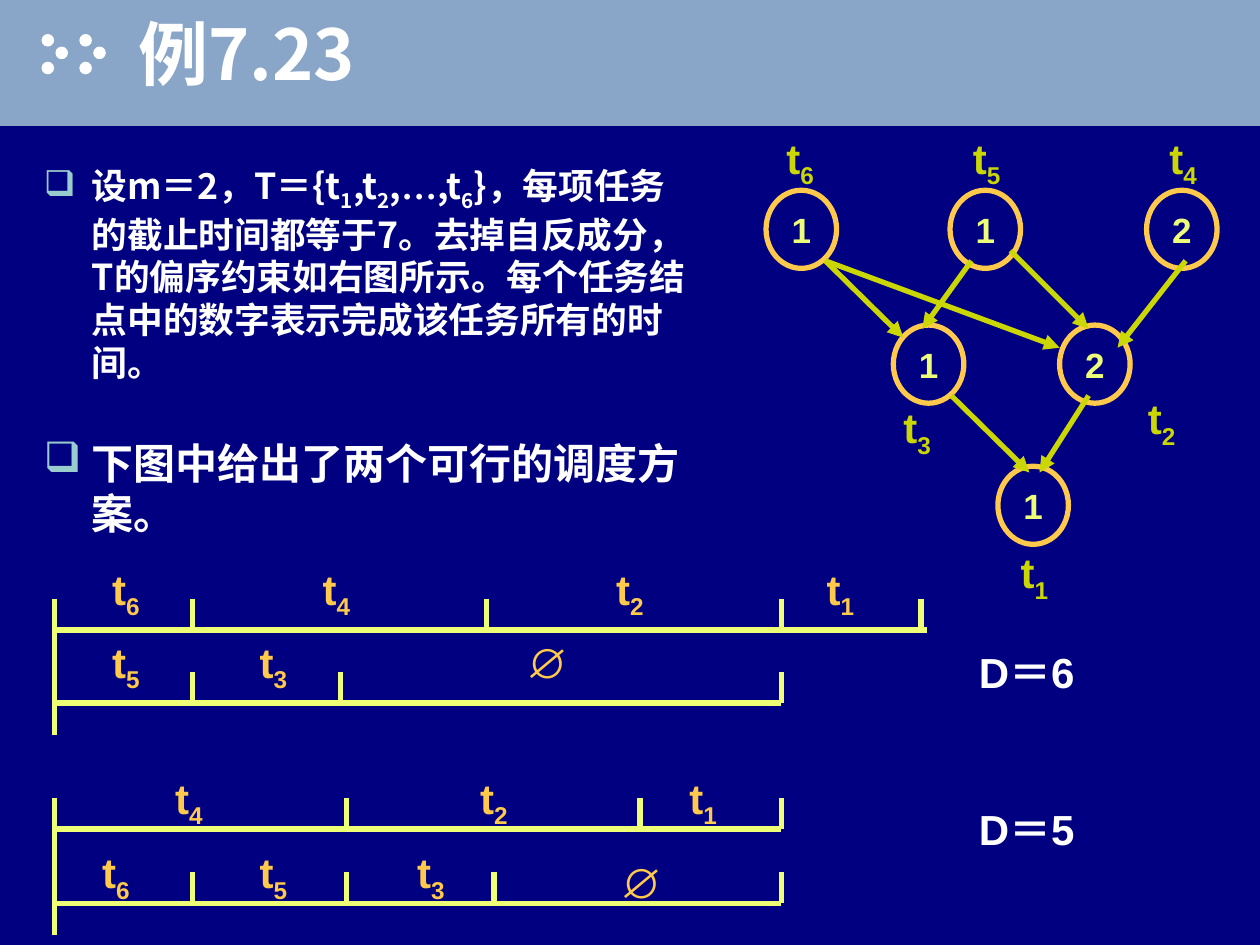
"""Build the slide for example 7.23: a task graph and two feasible schedules."""
from dataclasses import dataclass
from itertools import groupby, product

from lxml.etree import SubElement
from pptx import Presentation
from pptx.dml.color import RGBColor
from pptx.enum.shapes import MSO_CONNECTOR, MSO_SHAPE
from pptx.enum.text import MSO_ANCHOR, PP_ALIGN
from pptx.oxml import parse_xml
from pptx.oxml.ns import nsdecls, qn
from pptx.slide import Slide
from pptx.util import Inches, Pt


def color(value):
    return RGBColor.from_string(value)


@dataclass
class SlideBuilder:
    slide: Slide
    latin_font: str = "Arial"
    chinese_font: str = "Noto Sans CJK SC"
    symbol_font: str = "Times New Roman"
    white: str = "FFFFFF"
    header: str = "89A5C7"
    background: str = "000080"
    bullet: str = "99CCCC"
    node_line: str = "FFC94C"
    node_text: str = "EDFD77"
    edge: str = "CAD704"
    axis: str = "EFFF75"

    def fill_background(self):
        fill = self.slide.background.fill
        fill.solid()
        fill.fore_color.rgb = color(self.background)

    def format_run(self, run, size, tone, font):
        run.font.size = Pt(size)
        run.font.bold = True
        run.font.name = font
        run.font.color.rgb = color(tone)
        SubElement(run.font._element, qn("a:ea"), typeface=font)

    def add_text(self, paragraph, text, size, tone, font):
        first, *others = text.split("_")
        pieces = [(first, False)]
        for other in others:
            pieces += [(other[0], True), (other[1:], False)]
        for piece, subscript in pieces:
            for is_symbol, letters in groupby(piece, lambda letter: letter == "…"):
                run = paragraph.add_run()
                run.text = "".join(letters)
                self.format_run(run, size, tone, self.symbol_font if is_symbol else font)
                if subscript:
                    run.font._element.set("baseline", "-25000")

    def title(self, text, left, top, width, height):
        title = self.slide.shapes.title
        title.left, title.top = Inches(left), Inches(top)
        title.width, title.height = Inches(width), Inches(height)
        frame = title.text_frame
        frame.text = text
        frame.vertical_anchor = MSO_ANCHOR.MIDDLE
        paragraph = frame.paragraphs[0]
        paragraph.alignment = PP_ALIGN.LEFT
        run = paragraph.runs[0]
        self.format_run(run, 40, self.white, self.chinese_font)
        shadow = parse_xml(
            f'<a:effectLst {nsdecls("a")}><a:outerShdw dist="35921" dir="2700000">'
            '<a:srgbClr val="000000"/></a:outerShdw></a:effectLst>')
        run.font._element.find(qn("a:solidFill")).addnext(shadow)
        self.slide.shapes._spTree.append(title._element)

    def shape(self, kind, left, top, width, height, fill=None, line=None):
        shape = self.slide.shapes.add_shape(
            kind, Inches(left), Inches(top), Inches(width), Inches(height))
        shape.shadow.inherit = False
        if fill:
            shape.fill.solid()
            shape.fill.fore_color.rgb = color(fill)
        else:
            shape.fill.background()
        if line:
            shape.line.color.rgb = color(line)
            shape.line.width = Pt(3)
        else:
            shape.line.fill.background()
        return shape

    def node(self, duration, left, top):
        shape = self.shape(MSO_SHAPE.OVAL, left, top, 0.56, 0.62, line=self.node_line)
        paragraph = shape.text_frame.paragraphs[0]
        paragraph.alignment = PP_ALIGN.CENTER
        self.add_text(paragraph, duration, 20, self.node_text, self.latin_font)

    def text_box(self, left, top, width, height):
        box = self.slide.shapes.add_textbox(
            Inches(left), Inches(top), Inches(width), Inches(height))
        box.text_frame.word_wrap = True
        return box.text_frame.paragraphs[0]

    def label(self, text, left, top, tone, width=0.5):
        paragraph = self.text_box(left, top, width, 0.56)
        paragraph.alignment = PP_ALIGN.CENTER
        self.add_text(paragraph, text, 24, tone, self.latin_font)

    def deadline(self, text, left, top):
        paragraph = self.text_box(left, top, 1.08, 0.9)
        self.add_text(paragraph, text, 24, self.white, self.latin_font)

    def bullet_text(self, text, top, height, size):
        paragraph = self.text_box(0.25, top, 5.33, height)
        properties = paragraph._p.get_or_add_pPr()
        properties.set("marL", str(Inches(0.38)))
        properties.set("indent", str(-Inches(0.38)))
        bullet_color = SubElement(properties, qn("a:buClr"))
        SubElement(bullet_color, qn("a:srgbClr"), val=self.bullet)
        SubElement(properties, qn("a:buChar"), char="❑")
        self.add_text(paragraph, text, size, self.white, self.chinese_font)

    def line(self, start, end, tone, arrow=False):
        points = [Inches(value) for value in (*start, *end)]
        connector = self.slide.shapes.add_connector(MSO_CONNECTOR.STRAIGHT, *points)
        connector.line.color.rgb = color(tone)
        connector.line.width = Pt(3)
        if arrow:
            SubElement(connector.line._get_or_add_ln(), qn("a:tailEnd"), type="triangle")
        SubElement(connector._element.spPr, qn("a:effectLst"))

    def schedule_row(self, base, end, ticks, labels, label_top):
        self.line((0.42, base), (end, base), self.axis)
        for tick in ticks:
            self.line((tick, base), (tick, base - 0.25), self.axis)
        for text, left in labels:
            offset = 0.08 if text == "∅" and base > 7 else 0
            self.label(text, left, label_top + offset, self.node_line)


def main():
    presentation = Presentation()
    presentation.slide_width, presentation.slide_height = Inches(10), Inches(7.5)
    slide = presentation.slides.add_slide(presentation.slide_layouts[5])
    builder = SlideBuilder(slide)
    builder.fill_background()
    builder.shape(MSO_SHAPE.RECTANGLE, 0, 0, 10, 1, fill=builder.header)
    dots = ((0, 0.27), (0.11, 0.37), (0, 0.49))
    for left, (offset, top) in product((0.33, 0.63), dots):
        builder.shape(MSO_SHAPE.OVAL, left + offset, top, 0.1, 0.1, fill=builder.white)
    builder.title("例7.23", 1, 0, 9, 0.83)

    builder.bullet_text(
        "设m＝2，T＝{t_1,t_2,…,t_6}，每项任务的截止时间都等于7。去掉自反成分，"
        "T的偏序约束如右图所示。每个任务结点中的数字表示完成该任务所有的时间。",
        1.25, 2.17, 20.4)
    builder.bullet_text("下图中给出了两个可行的调度方案。", 3.42, 1, 24)

    tasks = (
        ("t_6", "1", (6.08, 1.51), (6.08, 1)),
        ("t_5", "1", (7.54, 1.51), (7.56, 1)),
        ("t_4", "2", (9.1, 1.51), (9.12, 1)),
        ("t_3", "1", (7.09, 2.58), (7.01, 3.14)),
        ("t_2", "2", (8.41, 2.58), (8.95, 3.07)),
        ("t_1", "1", (7.92, 3.7), (7.94, 4.29)),
    )
    for name, duration, node_position, label_position in tasks:
        builder.node(duration, *node_position)
        builder.label(name, *label_position, builder.edge, 0.54)
    edges = (
        ((6.55, 2.07), (7.17, 2.68)), ((7.55, 3.14), (8.17, 3.75)),
        ((6.55, 2.07), (8.41, 2.76)), ((7.71, 2.07), (7.32, 2.61)),
        ((8.02, 1.99), (8.64, 2.61)), ((9.41, 2.07), (8.87, 2.76)),
        ((8.64, 3.14), (8.25, 3.75)),
    )
    for start, end in edges:
        builder.line(start, end, builder.edge, arrow=True)

    for top, bottom in ((4.75, 5.83), (6.33, 7.42)):
        builder.line((0.43, bottom), (0.43, top), builder.axis)
    rows = (
        (5, 7.36, (1.53, 3.86, 6.2, 7.31),
         (("t_6", 0.75), ("t_4", 2.42), ("t_2", 4.75), ("t_1", 6.42)), 4.42),
        (5.58, 6.2, (1.53, 2.7, 6.2), (("t_5", 0.75), ("t_3", 1.92), ("∅", 4.08)), 5),
        (6.58, 6.2, (2.75, 5.08, 6.2), (("t_4", 1.25), ("t_2", 3.67), ("t_1", 5.33)), 6.08),
        (7.17, 6.2, (1.53, 2.75, 3.92, 6.2),
         (("t_6", 0.67), ("t_5", 1.92), ("t_3", 3.17), ("∅", 4.83)), 6.67),
    )
    for row in rows:
        builder.schedule_row(*row)
    builder.deadline("D＝6", 7.67, 5.08)
    builder.deadline("D＝5", 7.67, 6.33)
    presentation.save("out.pptx")


if __name__ == "__main__":
    main()
